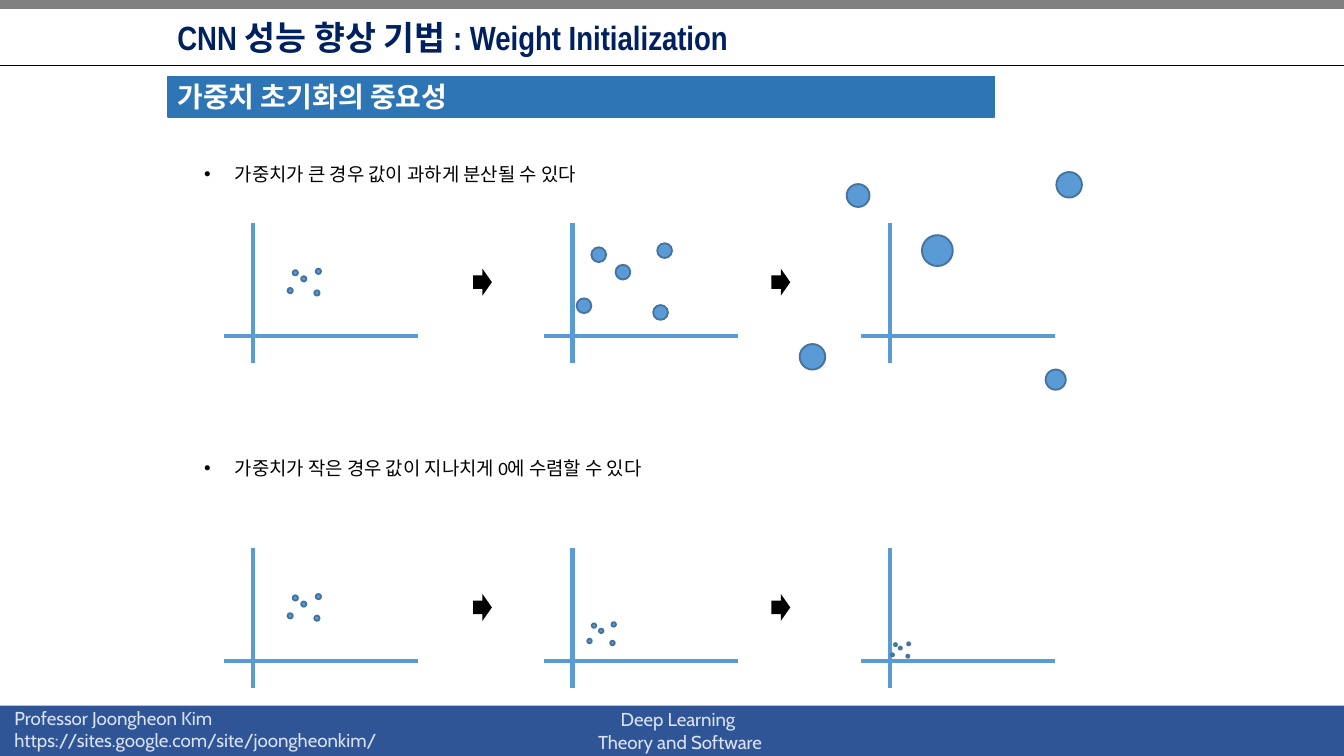
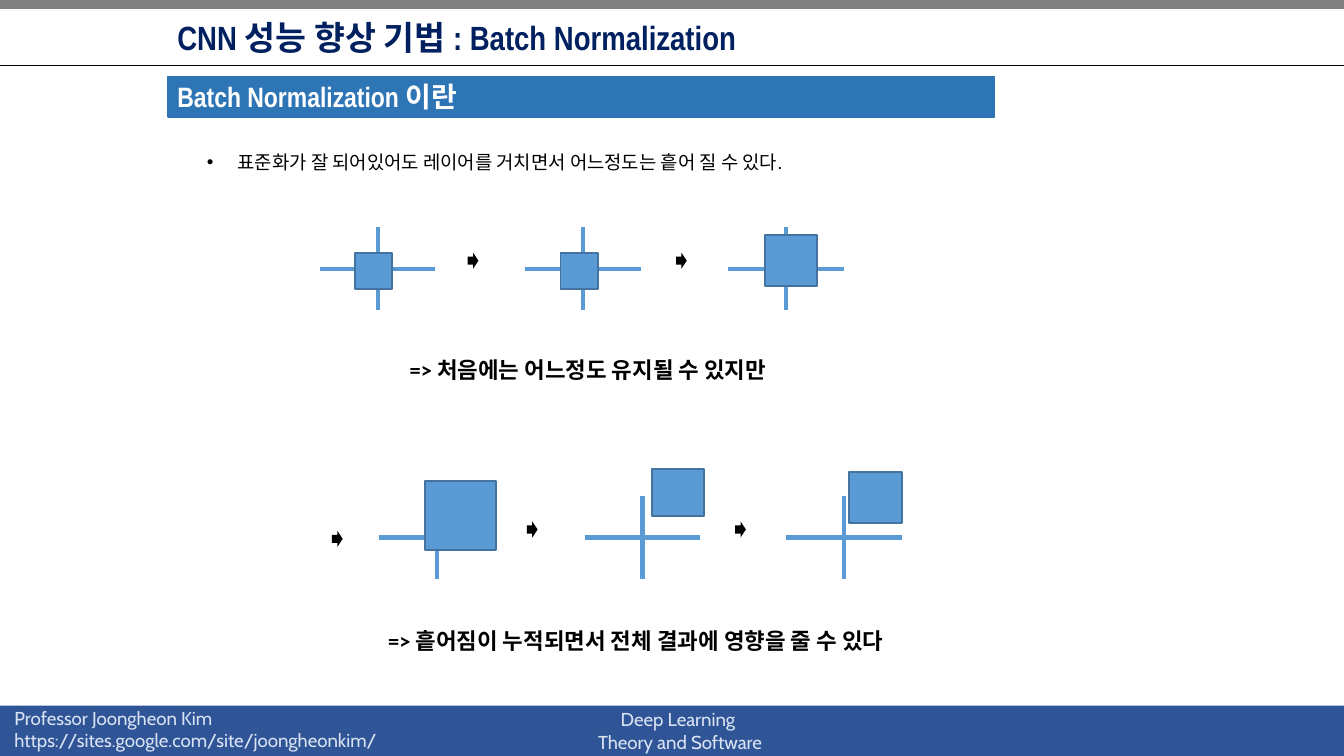
"""Builds two lecture slides on weight initialization and batch normalization."""
from lxml.etree import SubElement
from pptx import Presentation
from pptx.dml.color import RGBColor
from pptx.enum.shapes import MSO_CONNECTOR as Connector, MSO_SHAPE as Shape
from pptx.enum.text import MSO_ANCHOR as Anchor, MSO_AUTO_SIZE as AutoSize, PP_ALIGN as Align
from pptx.oxml.ns import qn
from pptx.util import Emu, Pt

EMU_PER_PX = 9144
WIDTH = 1000
HEIGHT = WIDTH * 9 / 16

BLACK = RGBColor(0x00, 0x00, 0x00)
WHITE = RGBColor(0xFF, 0xFF, 0xFF)
GRAY = RGBColor(0x80, 0x80, 0x80)
NAVY = RGBColor(0x00, 0x20, 0x60)
FOOTER_BLUE = RGBColor(0x2F, 0x55, 0x97)
FOOTER_TEXT = RGBColor(0xDA, 0xE3, 0xF3)
BAND_BLUE = RGBColor(0x2E, 0x75, 0xB6)
MARK_BLUE = RGBColor(0x5B, 0x9B, 0xD5)
MARK_EDGE = RGBColor(0x43, 0x73, 0x9E)

HEADING_FONT, BODY_FONT, FOOTER_FONT = "Arial Narrow", "Calibri", "Cabin"
HEADING_INSETS = (7, 3)
BODY_INSETS = (10, 5)
BULLET_INDENT = 23

FOOTERS = [
    ((1, 521, 296, 44), Align.LEFT,
     ["Professor Joongheon Kim", "https://sites.google.com/site/joongheonkim/"]),
    ((431, 522, 150, 44), Align.CENTER, ["Deep Learning \vTheory and Software"]),
]

INIT_TITLE = "CNN 성능 향상 기법 : Weight Initialization"
INIT_BAND = "가중치 초기화의 중요성"
PLOT_AXES = (188, 426, 662)
PLOT_ARROWS = (352, 574)
CLUSTER = [(29, 16), (60, 0), (57, 46), (0, 41), (11, 3)]
CLUSTER_DOT = 11
INIT_ROWS = [
    {"text": "가중치가 큰 경우 값이 과하게 분산될 수 있다",
     "text_top": 116, "top": 166,
     "clusters": [(214, 200, 0.35), (429, 181, 1)],
     "dots": [(686, 175, 23), (786, 128, 19), (778, 275, 15), (595, 256, 19), (630, 137, 17)]},
    {"text": "가중치가 작은 경우 값이 지나치게 0에 수렴할 수 있다",
     "text_top": 335, "top": 408,
     "clusters": [(214, 442, 0.35), (437, 463, 0.3), (663, 478, 0.2)],
     "dots": []},
]

BATCH_TITLE = "CNN 성능 향상 기법 : Batch Normalization"
BATCH_BAND = "Batch Normalization 이란"
BATCH_BULLET = "표준화가 잘 되어있어도 레이어를 거치면서 어느정도는 흩어 질 수 있다."
BATCH_ROWS = [
    {"center_y": 200, "centers": (281, 434, 585),
     "squares": [(264, 188, 28, 27), (417, 188, 28, 27), (569, 175, 39, 38)],
     "arrows": [(348, 188), (503, 188)]},
    {"center_y": 400, "centers": (325, 478, 628),
     "squares": [(316, 358, 53, 51), (485, 349, 39, 35), (632, 351, 39, 38)],
     "arrows": [(392, 388), (547, 388), (247, 395)]},
]
CONCLUSIONS = [
    ("=> 처음에는 어느정도 유지될 수 있지만", (295, 260, 309, 30), False),
    ("=> 흩어짐이 누적되면서 전체 결과에 영향을 줄 수 있다", (279, 462, 432, 30), True),
]


def px(length):
    return Emu(round(length * EMU_PER_PX))


def add_mark(shapes, kind, box, fill, edge=None):
    shape = shapes.add_shape(kind, *map(px, box))
    shape.shadow.inherit = False
    shape.fill.solid()
    shape.fill.fore_color.rgb = fill
    if edge is None:
        shape.line.fill.background()
    else:
        shape.line.color.rgb = edge
        shape.line.width = Pt(1)
    return shape


def add_line(shapes, start, end, color, width):
    line = shapes.add_connector(Connector.STRAIGHT, *map(px, start + end))
    line.line.color.rgb = color
    line.line.width = Pt(width)
    SubElement(line._element.spPr, qn("a:effectLst"))


def add_axes(shapes, x, y, left, right, up, down):
    add_line(shapes, (x, y - up), (x, y + down), MARK_BLUE, 2.25)
    add_line(shapes, (x - left, y), (x + right, y), MARK_BLUE, 2.25)


def add_dot(shapes, left, top, size):
    add_mark(shapes, Shape.OVAL, (left, top, size, size), MARK_BLUE, MARK_EDGE)


def add_cluster(slide, left, top, scale):
    group = slide.shapes.add_group_shape()
    for x, y in CLUSTER:
        add_dot(group.shapes, left + x * scale, top + y * scale, CLUSTER_DOT * scale)


def add_bullet(paragraph):
    properties = paragraph._p.get_or_add_pPr()
    properties.set("marL", str(px(BULLET_INDENT)))
    properties.set("indent", str(-px(BULLET_INDENT)))
    SubElement(properties, qn("a:buFont"), typeface="Arial")
    SubElement(properties, qn("a:buChar"), char="•")


def write(shape, lines, font, size, color, bold=False, align=Align.LEFT,
          insets=BODY_INSETS, anchor=Anchor.TOP, wrap=True, bullet=False):
    frame = shape.text_frame
    frame.word_wrap = wrap
    frame.vertical_anchor = anchor
    frame.margin_left = frame.margin_right = px(insets[0])
    frame.margin_top = frame.margin_bottom = px(insets[1])
    for index, line in enumerate(lines):
        paragraph = frame.add_paragraph() if index else frame.paragraphs[0]
        paragraph.alignment = align
        if bullet:
            add_bullet(paragraph)
        for part_index, part in enumerate(line.split("\v")):
            if part_index:
                paragraph.add_line_break()
            run = paragraph.add_run()
            run.text = part
            run.font.name = font
            run.font.size = Pt(size)
            run.font.bold = bold
            run.font.color.rgb = color


def add_text(slide, box, lines, *style, **options):
    text_box = slide.shapes.add_textbox(*map(px, box))
    write(text_box, lines, *style, **options)
    return text_box


def add_body(slide, box, text, size, **options):
    text_box = add_text(slide, box, [text], BODY_FONT, size, BLACK, **options)
    text_box.text_frame.auto_size = AutoSize.SHAPE_TO_FIT_TEXT


def add_base_slide(presentation, title, band_title):
    slide = presentation.slides.add_slide(presentation.slide_layouts[6])
    add_mark(slide.shapes, Shape.RECTANGLE, (0, 525, WIDTH, HEIGHT - 525), FOOTER_BLUE)
    add_mark(slide.shapes, Shape.RECTANGLE, (0, 0, WIDTH, 6), GRAY, GRAY)
    add_line(slide.shapes, (0, 49), (WIDTH, 49), BLACK, 0.5)
    for box, align, lines in FOOTERS:
        footer = add_text(slide, box, lines, FOOTER_FONT, 10, FOOTER_TEXT,
                          align=align, wrap=False)
        footer.text_frame.auto_size = AutoSize.SHAPE_TO_FIT_TEXT
    heading = {"bold": True, "insets": HEADING_INSETS, "anchor": Anchor.MIDDLE}
    add_text(slide, (125, 3, 586, 49), [title], HEADING_FONT, 18, NAVY, **heading)
    band = add_mark(slide.shapes, Shape.RECTANGLE, (125, 57, 615, 30), BAND_BLUE, BAND_BLUE)
    write(band, [band_title], HEADING_FONT, 15, WHITE, **heading)
    return slide


def add_initialization_slide(presentation):
    slide = add_base_slide(presentation, INIT_TITLE, INIT_BAND)
    for row in INIT_ROWS:
        top = row["top"]
        add_body(slide, (142, row["text_top"], 716, 27), row["text"], 10.1, bullet=True)
        for x in PLOT_AXES:
            add_axes(slide.shapes, x, top + 84, left=21, right=123, up=84, down=20)
        for cluster in row["clusters"]:
            add_cluster(slide, *cluster)
        for dot in row["dots"]:
            add_dot(slide.shapes, *dot)
        for left in PLOT_ARROWS:
            add_mark(slide.shapes, Shape.RIGHT_ARROW, (left, top + 34, 14, 20), BLACK)


def add_batch_slide(presentation):
    slide = add_base_slide(presentation, BATCH_TITLE, BATCH_BAND)
    add_body(slide, (144, 107, 488, 27), BATCH_BULLET, 10.1, bullet=True, wrap=False)
    for row in BATCH_ROWS:
        group = slide.shapes.add_group_shape()
        for x, square in zip(row["centers"], row["squares"]):
            add_axes(group.shapes, x, row["center_y"], left=43, right=43, up=31, down=31)
            add_mark(group.shapes, Shape.RECTANGLE, square, MARK_BLUE, MARK_EDGE)
        for left, top in row["arrows"]:
            add_mark(group.shapes, Shape.RIGHT_ARROW, (left, top, 8, 12), BLACK)
    for text, box, wrap in CONCLUSIONS:
        add_body(slide, box, text, 12, bold=True, wrap=wrap)


def main():
    presentation = Presentation()
    presentation.slide_width = px(WIDTH)
    presentation.slide_height = px(HEIGHT)
    add_initialization_slide(presentation)
    add_batch_slide(presentation)
    presentation.save("out.pptx")


if __name__ == "__main__":
    main()
